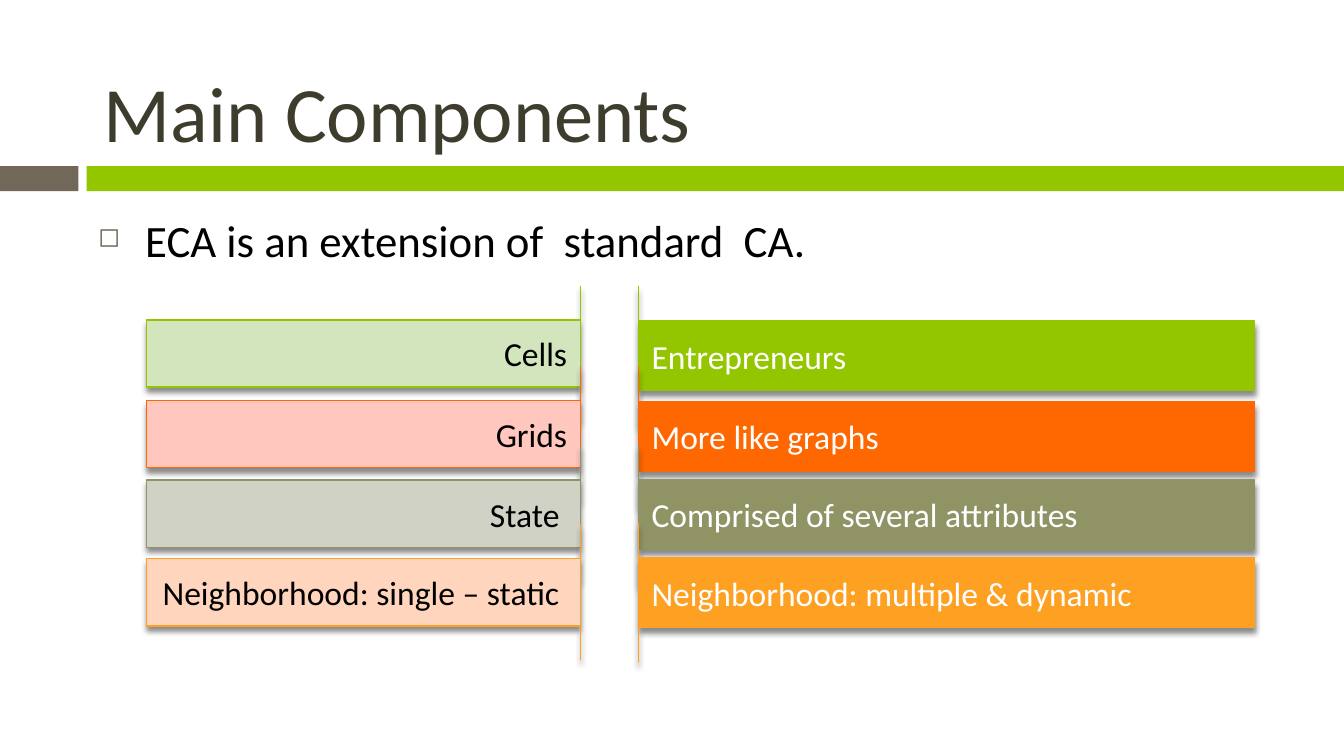
from dataclasses import dataclass

from lxml.etree import SubElement
from pptx import Presentation
from pptx.dml.color import RGBColor
from pptx.enum.shapes import MSO_SHAPE
from pptx.enum.text import MSO_ANCHOR, PP_ALIGN
from pptx.oxml.ns import qn
from pptx.util import Pt

FONT = "Calibri"
BLACK = RGBColor(0x00, 0x00, 0x00)
WHITE = RGBColor(0xFF, 0xFF, 0xFF)
TITLE_COLOR = RGBColor(0x3E, 0x3D, 0x2D)
BROWN = RGBColor(0x71, 0x68, 0x5A)
GREEN = RGBColor(0x94, 0xC6, 0x00)
ORANGE = RGBColor(0xFF, 0x67, 0x00)
OLIVE = RGBColor(0x90, 0x94, 0x65)
AMBER = RGBColor(0xFE, 0xA0, 0x22)
PALE_GREEN = RGBColor(0xD2, 0xE5, 0xBD)
PALE_RED = RGBColor(0xFF, 0xC7, 0xBD)
PALE_OLIVE = RGBColor(0xD1, 0xD2, 0xC6)
PALE_AMBER = RGBColor(0xFF, 0xD6, 0xBD)

STANDARD_LEFT, STANDARD_WIDTH, STANDARD_HEIGHT = 78.5, 232.5, 72
EXTENDED_LEFT, EXTENDED_WIDTH, EXTENDED_HEIGHT = 342, 330, 74.2


@dataclass(frozen=True)
class Component:
    standard: str
    extended: str
    standard_top: float
    extended_top: float
    pale: RGBColor
    strong: RGBColor


COMPONENTS = [
    Component("Cells", "Entrepreneurs", 153.4, 153.4, PALE_GREEN, GREEN),
    Component("Grids", "More like graphs", 196.6, 196.6, PALE_RED, ORANGE),
    Component("State ", "Comprised of several attributes", 239.3, 238.5,
              PALE_OLIVE, OLIVE),
    Component("Neighborhood: single – static ", "Neighborhood: multiple & dynamic",
              281.3, 280.4, PALE_AMBER, AMBER),
]


def write_text(shape, text: str, *, size: float, color: RGBColor,
               align=PP_ALIGN.LEFT, anchor=MSO_ANCHOR.MIDDLE):
    frame = shape.text_frame
    frame.word_wrap = True
    frame.vertical_anchor = anchor
    para = frame.paragraphs[0]
    para.alignment = align
    span = para.add_run()
    span.text = text
    span.font.name = FONT
    span.font.size = Pt(size)
    span.font.color.rgb = color
    return para


def add_text_box(page, left: float, top: float, width: float, height: float,
                 text: str, **text_format):
    box = page.shapes.add_textbox(Pt(left), Pt(top), Pt(width), Pt(height))
    return write_text(box, text, **text_format)


def add_filled_shape(page, kind, left: float, top: float, width: float,
                     height: float, fill: RGBColor):
    shape = page.shapes.add_shape(kind, Pt(left), Pt(top), Pt(width), Pt(height))
    shape.shadow.inherit = False
    shape.fill.solid()
    shape.fill.fore_color.rgb = fill
    shape.line.fill.background()
    return shape


def add_bullet(para, symbol: str, color: RGBColor, percent: int, indent: float) -> None:
    properties = para._p.get_or_add_pPr()
    properties.set("marL", str(Pt(indent)))
    properties.set("indent", str(-Pt(indent)))
    bullet_color = SubElement(properties, qn("a:buClr"))
    SubElement(bullet_color, qn("a:srgbClr"), val=str(color))
    SubElement(properties, qn("a:buSzPct"), val=str(percent * 1000))
    SubElement(properties, qn("a:buChar"), char=symbol)


def add_drop_shadow(shape) -> None:
    effects = shape._element.spPr.find(qn("a:effectLst"))
    shadow = SubElement(effects, qn("a:outerShdw"), blurRad=str(Pt(3)),
                        dist=str(Pt(2.4)), dir="5400000", rotWithShape="0")
    color = SubElement(shadow, qn("a:srgbClr"), val=str(BLACK))
    SubElement(color, qn("a:alpha"), val="45000")


def add_component_arrow(page, kind, left: float, top: float, width: float,
                        height: float, text: str, fill: RGBColor, line: RGBColor,
                        **text_format) -> None:
    """Draw an arrow whose head is flattened to a line, with its label."""
    arrow = add_filled_shape(page, kind, left, top, width, height, fill)
    arrow.adjustments[0] = 0.5
    arrow.adjustments[1] = 0
    arrow.line.color.rgb = line
    arrow.line.width = Pt(0.79)
    add_drop_shadow(arrow)
    write_text(arrow, text, size=18, **text_format)


def main() -> None:
    deck = Presentation()
    deck.slide_width, deck.slide_height = Pt(720), Pt(405)
    page = deck.slides.add_slide(deck.slide_layouts[6])

    for left, width, color in ((0, 42, BROWN), (46.5, 673.5, GREEN)):
        add_filled_shape(page, MSO_SHAPE.RECTANGLE, left, 89, width, 13.5, color)

    add_text_box(page, 48.5, 9.5, 642, 79, "Main Components", size=42,
                 color=TITLE_COLOR, anchor=MSO_ANCHOR.BOTTOM)
    statement = add_text_box(page, 45.5, 110.2, 594, 42,
                             "ECA is an extension of  standard  CA.", size=24,
                             color=BLACK, anchor=MSO_ANCHOR.TOP)
    add_bullet(statement, "◻", BROWN, percent=60, indent=25.2)

    for item in COMPONENTS:
        add_component_arrow(page, MSO_SHAPE.RIGHT_ARROW, STANDARD_LEFT,
                            item.standard_top, STANDARD_WIDTH, STANDARD_HEIGHT,
                            item.standard, item.pale, item.strong,
                            color=BLACK, align=PP_ALIGN.RIGHT)
        add_component_arrow(page, MSO_SHAPE.LEFT_ARROW, EXTENDED_LEFT,
                            item.extended_top, EXTENDED_WIDTH, EXTENDED_HEIGHT,
                            item.extended, item.strong, item.strong, color=WHITE)

    deck.save("out.pptx")


if __name__ == "__main__":
    main()
